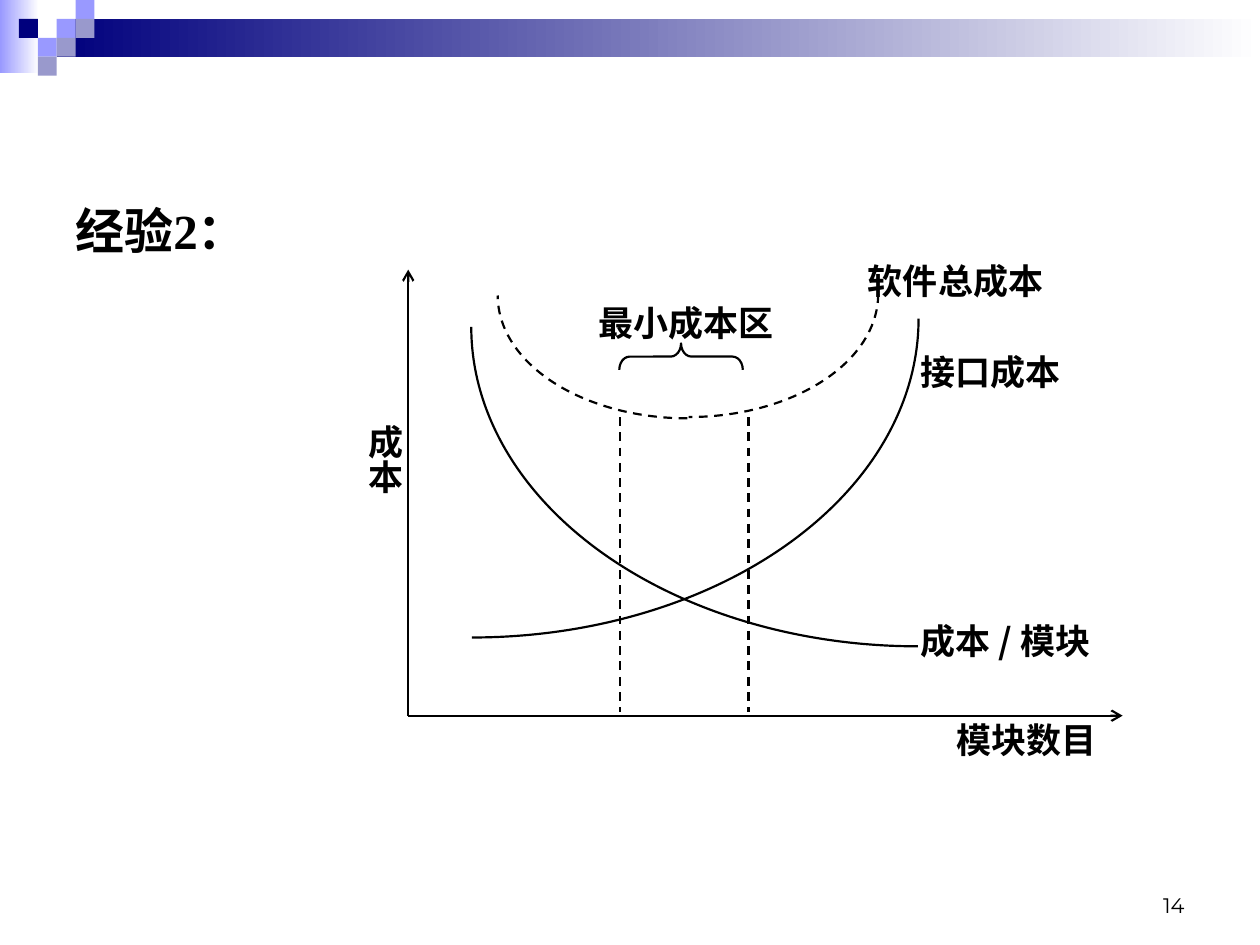
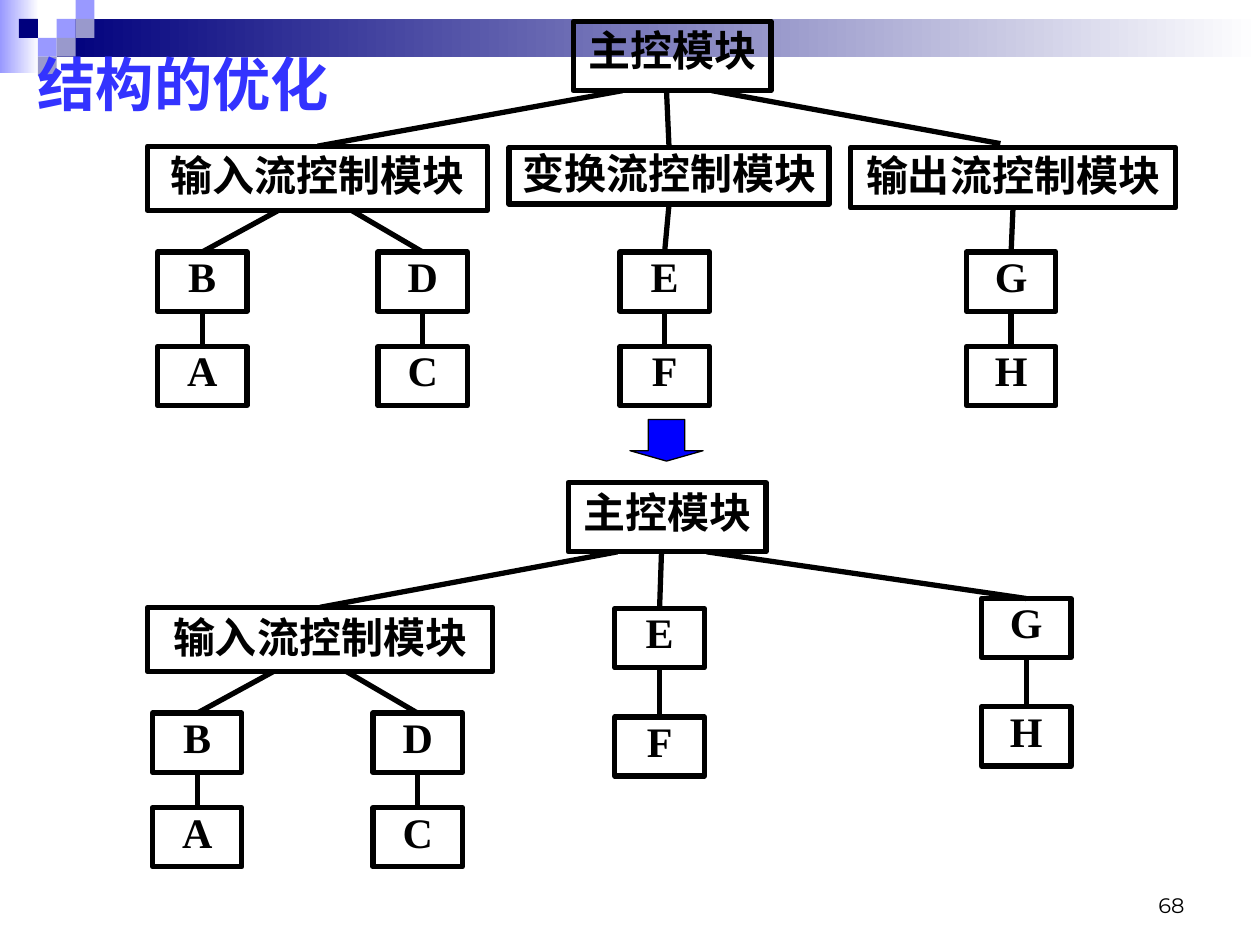
from dataclasses import dataclass

from lxml import etree
from pptx import Presentation
from pptx.dml.color import RGBColor
from pptx.enum.dml import MSO_LINE
from pptx.enum.shapes import MSO_CONNECTOR, MSO_SHAPE
from pptx.enum.text import MSO_ANCHOR, PP_ALIGN
from pptx.oxml.ns import qn
from pptx.util import Inches, Pt

RECTANGLE, ARC = MSO_SHAPE.RECTANGLE, MSO_SHAPE.ARC
LEFT_BRACE, DOWN_ARROW = MSO_SHAPE.LEFT_BRACE, MSO_SHAPE.DOWN_ARROW
STRAIGHT, DASH = MSO_CONNECTOR.STRAIGHT, MSO_LINE.DASH
LEFT, CENTER, RIGHT = PP_ALIGN.LEFT, PP_ALIGN.CENTER, PP_ALIGN.RIGHT
JUSTIFY = PP_ALIGN.JUSTIFY
TOP, MIDDLE, BOTTOM = MSO_ANCHOR.TOP, MSO_ANCHOR.MIDDLE, MSO_ANCHOR.BOTTOM
BOTTOM_SIDE, TOP_SIDE = 2, 0


@dataclass(frozen=True)
class Theme:
    ink: str = "000000"
    white: str = "FFFFFF"
    navy: str = "00007D"
    periwinkle: str = "9999FF"
    slate: str = "9999CC"
    title_blue: str = "3333FF"
    arrow_blue: str = "0000FF"
    latin: str = "Times New Roman"
    asian: str = "Noto Sans CJK SC"
    number_font: str = "Montserrat"
    heading_size: float = 28
    title_size: float = 33.3
    label_size: float = 20
    node_size: float = 24
    number_size: float = 12
    curve_width: float = 1.25
    node_width: float = 3
    arrow_width: float = 0.75


THEME = Theme()
LETTER_WIDTH, LETTER_HEIGHT = 0.71, 0.47
BAND_UNIT = 0.15
BAND_SQUARES = [  # column, row, colour
    (3, 1, THEME.periwinkle), (4, 0, THEME.periwinkle),
    (4, 1, THEME.slate), (2, 2, THEME.periwinkle),
    (1, 1, THEME.navy), (3, 2, THEME.slate), (2, 3, THEME.slate),
]


# Formatting
def apply_format(target, values):
    for name, value in values.items():
        setattr(target, name, value)


def inches(*lengths):
    return [Inches(length) for length in lengths]


def write_text(frame, text, size, color=THEME.ink, font=THEME.latin, bold=True,
               align=LEFT, anchor=TOP, spacing=None, before=None, margins=(0.1, 0.05)):
    side, end = inches(*margins)
    apply_format(frame, {
        "word_wrap": True, "vertical_anchor": anchor,
        "margin_left": side, "margin_right": side,
        "margin_top": end, "margin_bottom": end,
    })
    paragraph = frame.paragraphs[0]
    apply_format(paragraph, {
        "alignment": align, "line_spacing": spacing, "space_before": before,
    })
    run = paragraph.add_run()
    run.text = text
    apply_format(run.font, {"size": Pt(size), "bold": bold, "name": font})
    run.font.color.rgb = RGBColor.from_string(color)
    asian = etree.SubElement(run.font._element, qn("a:ea"))
    asian.set("typeface", THEME.asian)


def style_line(line, width, dash=None):
    line.color.rgb = RGBColor.from_string(THEME.ink)
    line.width = Pt(width)
    if dash is not None:
        line.dash_style = dash


# Elements
def add_text(slide, box, text, size, **format_values):
    frame = slide.shapes.add_textbox(*inches(*box)).text_frame
    write_text(frame, text, size, **format_values)
    return frame


def add_preset(slide, preset, box, fill=None, width=None, dash=None, adjustments=()):
    shape = slide.shapes.add_shape(preset, *inches(*box))
    shape.shadow.inherit = False
    for index, value in enumerate(adjustments):
        shape.adjustments[index] = value
    if fill:
        shape.fill.solid()
        shape.fill.fore_color.rgb = RGBColor.from_string(fill)
    else:
        shape.fill.background()
    if width:
        style_line(shape.line, width, dash)
    else:
        shape.line.fill.background()
    return shape


def add_fade(slide, box, color):
    fade = add_preset(slide, RECTANGLE, box)
    fade.fill.gradient()
    fade.fill.gradient_angle = 180
    for stop, stop_color in zip(fade.fill.gradient_stops, (THEME.white, color)):
        stop.color.rgb = RGBColor.from_string(stop_color)


def add_line(slide, start, end, width, dash=None, arrow=False):
    line = slide.shapes.add_connector(STRAIGHT, *inches(*start, *end))
    style_line(line.line, width, dash)
    properties = line._element.spPr
    if arrow:
        etree.SubElement(properties.find(qn("a:ln")), qn("a:tailEnd")).set("type", "arrow")
    etree.SubElement(properties, qn("a:effectLst"))
    return line


def add_node(slide, box, text, spacing=0.72):
    node = add_preset(slide, RECTANGLE, box, width=THEME.node_width)
    write_text(node.text_frame, text, THEME.node_size, align=CENTER,
               anchor=MIDDLE, spacing=spacing, margins=(0, 0))
    return node


def link(slide, parent, child, start_x=None, end=None):
    """Joins the sides' middles, unless a start or end off the middle is given."""
    bottom = (parent.top + parent.height) / Inches(1)
    line = add_line(slide, (start_x or 0, bottom), end or (0, 0), THEME.node_width)
    if start_x is None:
        line.begin_connect(parent, BOTTOM_SIDE)
    if end is None:
        line.end_connect(child, TOP_SIDE)


def add_chain(slide, parent, letters, left, top, step=0.75, start_x=None):
    for row, letter in enumerate(letters):
        box = (left, top + row * step, LETTER_WIDTH, LETTER_HEIGHT)
        node = add_node(slide, box, letter)
        link(slide, parent, node, start_x if row == 0 else None)
        parent = node


def add_main_with_input(slide, left, top, input_width):
    """Draws the main module and its input branch, which both trees share."""
    main_module = add_node(slide, (left, top, 1.57, 0.55), "主控模块")
    input_module = add_node(slide, (1.17, top + 0.99, input_width, 0.51),
                            "输入流控制模块", 0.9)
    link(slide, main_module, input_module, left + 0.39)
    add_chain(slide, input_module, "BA", left - 3.3, top + 1.83, start_x=left - 2.34)
    add_chain(slide, input_module, "DC", left - 1.55, top + 1.83, start_x=left - 1.76)
    return main_module


# Shared slide parts
def start_slide(deck, number):
    slide = deck.slides.add_slide(deck.slide_layouts[6])
    add_fade(slide, (0, 0, 0.31, 0.58), THEME.periwinkle)
    add_fade(slide, (0.45, 0.15, 9.55, 0.3), THEME.navy)
    for column, row, color in BAND_SQUARES:
        box = (column * BAND_UNIT, row * BAND_UNIT, BAND_UNIT, BAND_UNIT)
        add_preset(slide, RECTANGLE, box, fill=color)
    add_text(slide, (7.17, 6.83, 2.33, 0.5), number, THEME.number_size,
             font=THEME.number_font, bold=False, align=RIGHT, anchor=BOTTOM)
    return slide


# Slides
def build_cost_slide(deck):
    slide = start_slide(deck, "14")
    add_text(slide, (0.5, 1.54, 8.99, 5.51), "经验2：", THEME.heading_size, before=Pt(7))

    # Axes
    origin = (3.24, 5.68)
    for axis_end in ((3.24, 2.14), (8.91, 5.68)):
        add_line(slide, origin, axis_end, THEME.curve_width, arrow=True)
    cost_axis = add_text(slide, (2.56, 3.31, 0.71, 0.98), "成本", THEME.label_size,
                         align=CENTER, margins=(0.05, 0.06))
    cost_axis._element.find(qn("a:bodyPr")).set("vert", "eaVert")

    # Cost curves: quarter ellipses, clockwise from the right
    right_quarter, left_quarter = (0, 54), (54, 108)
    for box, quarter, dash in (
        ((0.2, 0, 7.09, 5.06), right_quarter, None),
        ((3.74, 0.06, 7.09, 5.07), left_quarter, None),
        ((3.96, 1.36, 3.01, 1.95), right_quarter, DASH),
        ((3.95, 1.37, 3.01, 1.95), left_quarter, DASH),
    ):
        add_preset(slide, ARC, box, width=THEME.curve_width, dash=dash, adjustments=quarter)

    # Region of least cost
    for limit in (4.92, 5.94):
        add_line(slide, (limit, 3.31), (limit, 5.65), THEME.curve_width, DASH)
    brace = add_preset(slide, LEFT_BRACE, (5.3, 2.34, 0.21, 0.98),
                       width=THEME.curve_width, adjustments=(0.39, 0.5))
    brace.rotation = 90

    # Labels
    for box, text, values in (
        ((7.21, 4.87, 1.84, 0.59), "成本 / 模块", {"font": THEME.asian}),
        ((4.59, 2.28, 1.71, 0.59), "最小成本区", {"align": CENTER, "spacing": 1.2}),
        ((7.21, 2.73, 1.44, 0.58), "接口成本", {}),
        ((6.79, 1.94, 1.71, 0.59), "软件总成本", {"spacing": 1.2}),
        ((7.49, 5.65, 1.44, 0.58), "模块数目", {}),
    ):
        add_text(slide, box, text, THEME.label_size, **{"align": JUSTIFY, **values})


def build_structure_slide(deck):
    slide = start_slide(deck, "68")
    add_text(slide, (0.2, 0.44, 2.76, 0.58), "结构的优化", THEME.title_size,
             color=THEME.title_blue, spacing=0.8, before=Pt(9))

    # Structure before optimisation
    before = add_main_with_input(slide, 4.55, 0.17, 2.7)
    transform = add_node(slide, (4.04, 1.17, 2.54, 0.45), "变换流控制模块", 0.9)
    output = add_node(slide, (6.75, 1.17, 2.58, 0.48), "输出流控制模块", 0.9)
    link(slide, before, transform, 5.29)
    link(slide, before, output, 5.65, end=(7.94, 1.14))
    add_chain(slide, transform, "EF", 4.92, 2)
    add_chain(slide, output, "GH", 7.67, 2)

    # Structure after optimisation
    add_preset(slide, DOWN_ARROW, (5, 3.33, 0.58, 0.33), THEME.arrow_blue,
               THEME.arrow_width, adjustments=(0.5, 0.25))
    after = add_main_with_input(slide, 4.51, 3.83, 2.74)
    add_chain(slide, after, "EF", 4.88, 4.83, step=0.86, start_x=5.25)
    add_chain(slide, after, "GH", 7.79, 4.75, step=0.86, start_x=5.61)


def main():
    deck = Presentation()
    apply_format(deck, {"slide_width": Inches(10), "slide_height": Inches(7.5)})
    build_cost_slide(deck)
    build_structure_slide(deck)
    deck.save("out.pptx")


if __name__ == "__main__":
    main()
